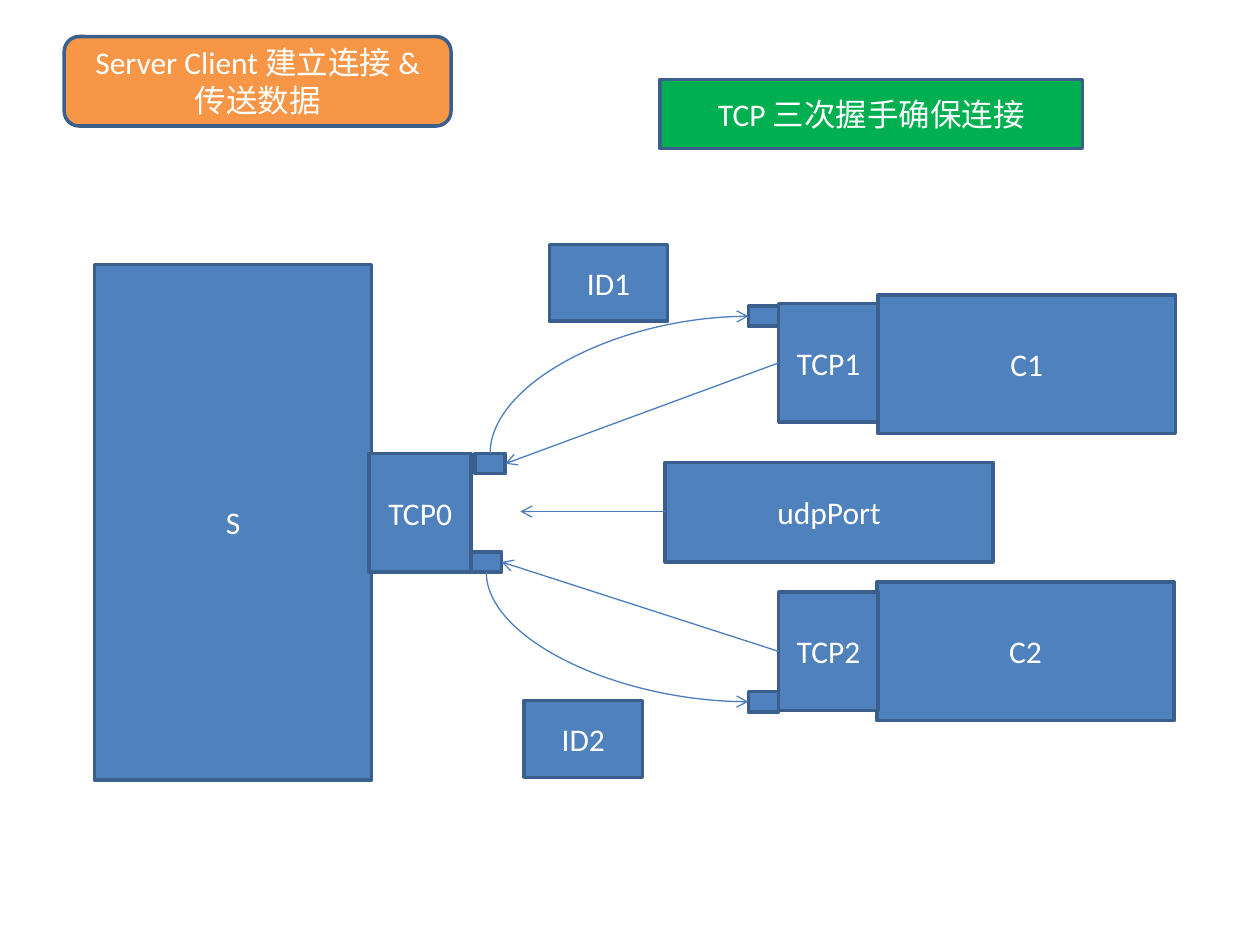
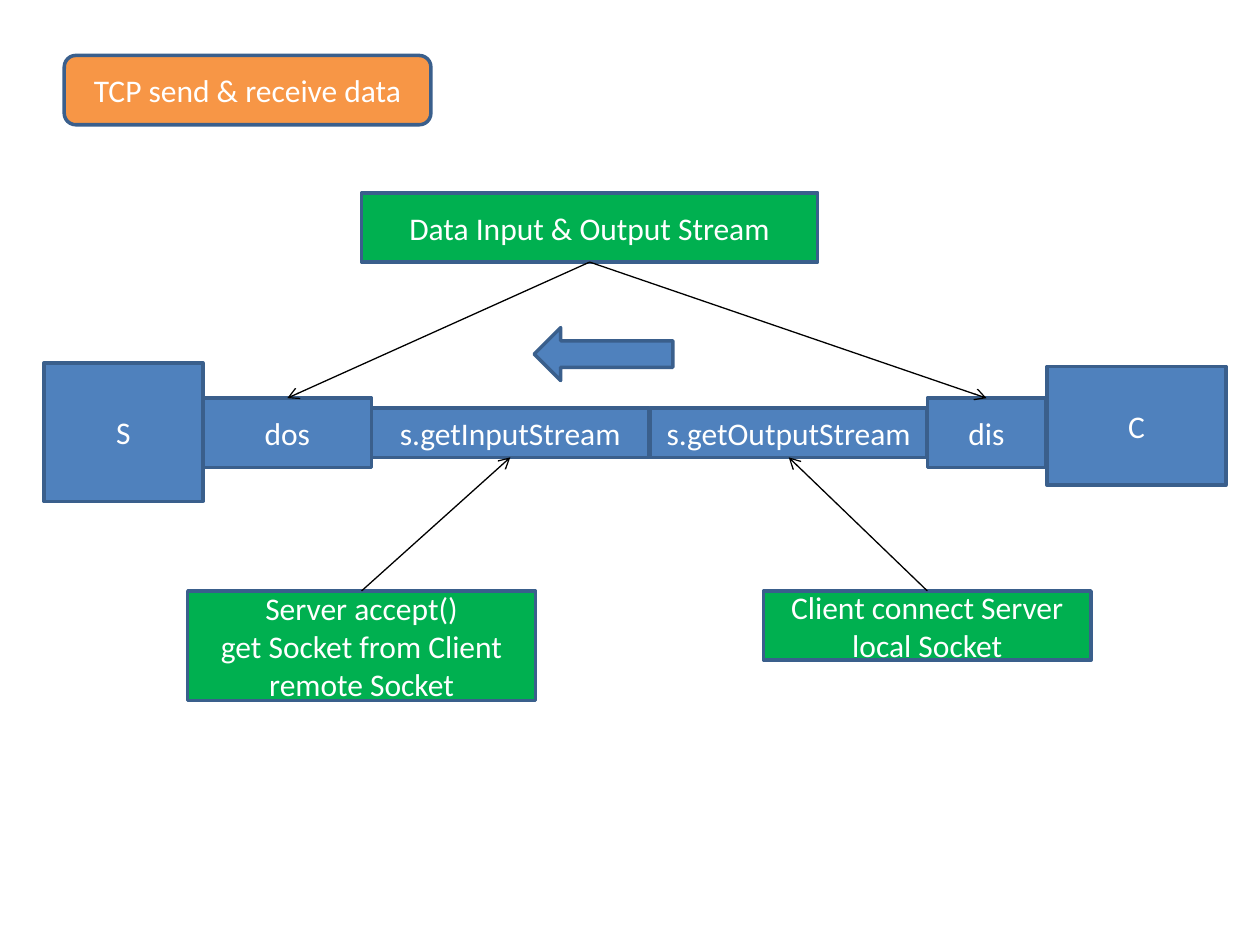
"""Build two slides on how a TCP server and client connect and exchange data."""
from dataclasses import dataclass
from typing import NamedTuple

from lxml.etree import SubElement
from pptx import Presentation
from pptx.dml.color import RGBColor
from pptx.enum.shapes import MSO_CONNECTOR, MSO_SHAPE
from pptx.enum.text import MSO_ANCHOR, PP_ALIGN
from pptx.oxml.ns import qn
from pptx.shapes.autoshape import Shape
from pptx.shapes.connector import Connector
from pptx.slide import Slide
from pptx.util import Inches, Pt

TOP, LEFT, BOTTOM, RIGHT = range(4)


@dataclass(frozen=True)
class Theme:
    """Colours, font and sizes shared by both slides."""
    node: RGBColor = RGBColor(0x4F, 0x81, 0xBD)
    title: RGBColor = RGBColor(0xF7, 0x96, 0x46)
    note: RGBColor = RGBColor(0x00, 0xB0, 0x50)
    outline: RGBColor = RGBColor(0x3A, 0x5F, 0x8C)
    link: RGBColor = RGBColor(0x4B, 0x7E, 0xBC)
    pointer: RGBColor = RGBColor(0x00, 0x00, 0x00)
    text: RGBColor = RGBColor(0xFF, 0xFF, 0xFF)
    font: str = "Calibri"
    text_size: Pt = Pt(18)
    outline_width: Pt = Pt(2)
    arrow_width: Pt = Pt(0.75)


THEME = Theme()


class Box(NamedTuple):
    """A filled shape with its key, its place in inches and its lines of text."""
    key: str
    left: float
    top: float
    width: float
    height: float
    lines: tuple[str, ...] = ()
    fill: RGBColor = THEME.node
    kind: MSO_SHAPE = MSO_SHAPE.RECTANGLE


class Arrow(NamedTuple):
    """An arrow between the sides of two boxes, given by their keys."""
    start: str
    start_side: int
    end: str
    end_side: int
    curved: bool = False


def title_box(top: float, width: float, height: float, *lines: str) -> Box:
    """Describe the rounded title of a slide."""
    return Box("title", 0.51, top, width, height, lines, THEME.title, MSO_SHAPE.ROUNDED_RECTANGLE)


def note_box(key: str, left: float, top: float, width: float, height: float, *lines: str) -> Box:
    """Describe a green explanatory box."""
    return Box(key, left, top, width, height, lines, THEME.note)


def label_box(label: str, left: float, top: float, width: float, height: float) -> Box:
    """Describe a blue box whose key is its label."""
    return Box(label, left, top, width, height, (label,))


def port_box(key: str, left: float, top: float) -> Box:
    """Describe a small socket without text."""
    return Box(key, left, top, 0.24, 0.16)


CONNECTION_BOXES = [
    title_box(0.29, 3.07, 0.71, "Server Client 建立连接 &", "传送数据"),
    label_box("S", 0.75, 2.1, 2.2, 4.09),
    label_box("C1", 6.97, 2.34, 2.36, 1.1),
    label_box("C2", 6.96, 4.62, 2.36, 1.1),
    label_box("TCP0", 2.93, 3.6, 0.81, 0.94),
    label_box("TCP1", 6.18, 2.41, 0.79, 0.94),
    label_box("TCP2", 6.18, 4.7, 0.79, 0.94),
    port_box("server port 1", 3.77, 3.6),
    port_box("server port 2", 3.74, 4.38),
    port_box("client port 1", 5.94, 2.43),
    port_box("client port 2", 5.94, 5.49),
    label_box("udpPort", 5.28, 3.67, 2.6, 0.79),
    label_box("ID1", 4.36, 1.94, 0.94, 0.61),
    label_box("ID2", 4.16, 5.56, 0.94, 0.61),
    note_box("handshake", 5.24, 0.63, 3.35, 0.55, "TCP 三次握手确保连接"),
]
CONNECTION_ARROWS = [
    Arrow("TCP1", LEFT, "server port 1", RIGHT),
    Arrow("TCP2", LEFT, "server port 2", RIGHT),
    Arrow("server port 1", TOP, "client port 1", LEFT, curved=True),
    Arrow("server port 2", BOTTOM, "client port 2", LEFT, curved=True),
]
STREAM_BOXES = [
    title_box(0.44, 2.91, 0.55, "TCP send & receive data"),
    label_box("S", 0.35, 2.88, 1.26, 1.1),
    label_box("C", 8.31, 2.91, 1.42, 0.94),
    label_box("dis", 7.36, 3.16, 0.94, 0.55),
    label_box("s.getOutputStream", 5.16, 3.24, 2.2, 0.39),
    label_box("s.getInputStream", 2.95, 3.24, 2.2, 0.39),
    label_box("dos", 1.61, 3.16, 1.34, 0.55),
    note_box("streams", 2.87, 1.53, 3.62, 0.55, "Data Input & Output Stream"),
    note_box("server", 1.49, 4.69, 2.76, 0.87,
             "Server accept()", "get Socket from Client", "remote Socket"),
    note_box("client", 6.06, 4.69, 2.6, 0.55, "Client connect Server", "local Socket"),
    Box("direction", 4.24, 2.6, 1.1, 0.42, kind=MSO_SHAPE.LEFT_ARROW),
]
STREAM_ARROWS = [
    Arrow("streams", BOTTOM, "dos", TOP),
    Arrow("streams", BOTTOM, "dis", TOP),
    Arrow("server", TOP, "s.getInputStream", BOTTOM),
    Arrow("client", TOP, "s.getOutputStream", BOTTOM),
]


def draw_box(slide: Slide, box: Box) -> Shape:
    """Draw one box with its text."""
    place = map(Inches, (box.left, box.top, box.width, box.height))
    shape = slide.shapes.add_shape(box.kind, *place)
    shape.shadow.inherit = False
    shape.fill.solid()
    shape.fill.fore_color.rgb = box.fill
    shape.line.color.rgb = THEME.outline
    shape.line.width = THEME.outline_width
    frame = shape.text_frame
    frame.word_wrap = True
    frame.vertical_anchor = MSO_ANCHOR.MIDDLE
    for index, line in enumerate(box.lines):
        paragraph = frame.add_paragraph() if index else frame.paragraphs[0]
        paragraph.alignment = PP_ALIGN.CENTER
        run = paragraph.add_run()
        run.text = line
        run.font.name = THEME.font
        run.font.size = THEME.text_size
        run.font.color.rgb = THEME.text
    return shape


def style_arrow(connector: Connector, color: RGBColor, arrow_end: str = "a:tailEnd") -> None:
    """Give a connector its colour, width and open arrowhead."""
    connector.line.color.rgb = color
    connector.line.width = THEME.arrow_width
    properties = connector.element.spPr
    SubElement(properties.find(qn("a:ln")), qn(arrow_end), type="arrow")
    SubElement(properties, qn("a:effectLst"))


def draw_arrow(slide: Slide, shapes: dict[str, Shape], arrow: Arrow, color: RGBColor) -> None:
    """Join two shapes; a quarter curve runs backwards so that it leaves sideways."""
    ends = [(shapes[arrow.start], arrow.start_side), (shapes[arrow.end], arrow.end_side)]
    kind, arrow_end = MSO_CONNECTOR.STRAIGHT, "a:tailEnd"
    if arrow.curved:
        ends.reverse()
        kind, arrow_end = MSO_CONNECTOR.CURVE, "a:headEnd"
    connector = slide.shapes.add_connector(kind, 0, 0, 0, 0)
    connector.begin_connect(*ends[0])
    connector.end_connect(*ends[1])
    if arrow.curved:
        connector.element.spPr.find(qn("a:prstGeom")).set("prst", "curvedConnector2")
    style_arrow(connector, color, arrow_end)


def draw_diagram(slide: Slide, boxes: list[Box], arrows: list[Arrow], color: RGBColor) -> None:
    """Draw all boxes, then the arrows that join them."""
    shapes = {box.key: draw_box(slide, box) for box in boxes}
    for arrow in arrows:
        draw_arrow(slide, shapes, arrow, color)


def draw_udp_arrow(slide: Slide) -> None:
    """Draw the arrow that leaves the UDP port towards the server."""
    y = Inches(4.06)
    connector = slide.shapes.add_connector(
        MSO_CONNECTOR.STRAIGHT, Inches(5.28), y, Inches(4.13), y)
    style_arrow(connector, THEME.link)


def main() -> None:
    """Build and save the presentation."""
    presentation = Presentation()
    presentation.slide_width, presentation.slide_height = Inches(10), Inches(7.5)
    blank = presentation.slide_layouts[6]
    connection = presentation.slides.add_slide(blank)
    draw_diagram(connection, CONNECTION_BOXES, CONNECTION_ARROWS, THEME.link)
    draw_udp_arrow(connection)
    streams = presentation.slides.add_slide(blank)
    draw_diagram(streams, STREAM_BOXES, STREAM_ARROWS, THEME.pointer)
    presentation.save("out.pptx")


if __name__ == "__main__":
    main()
